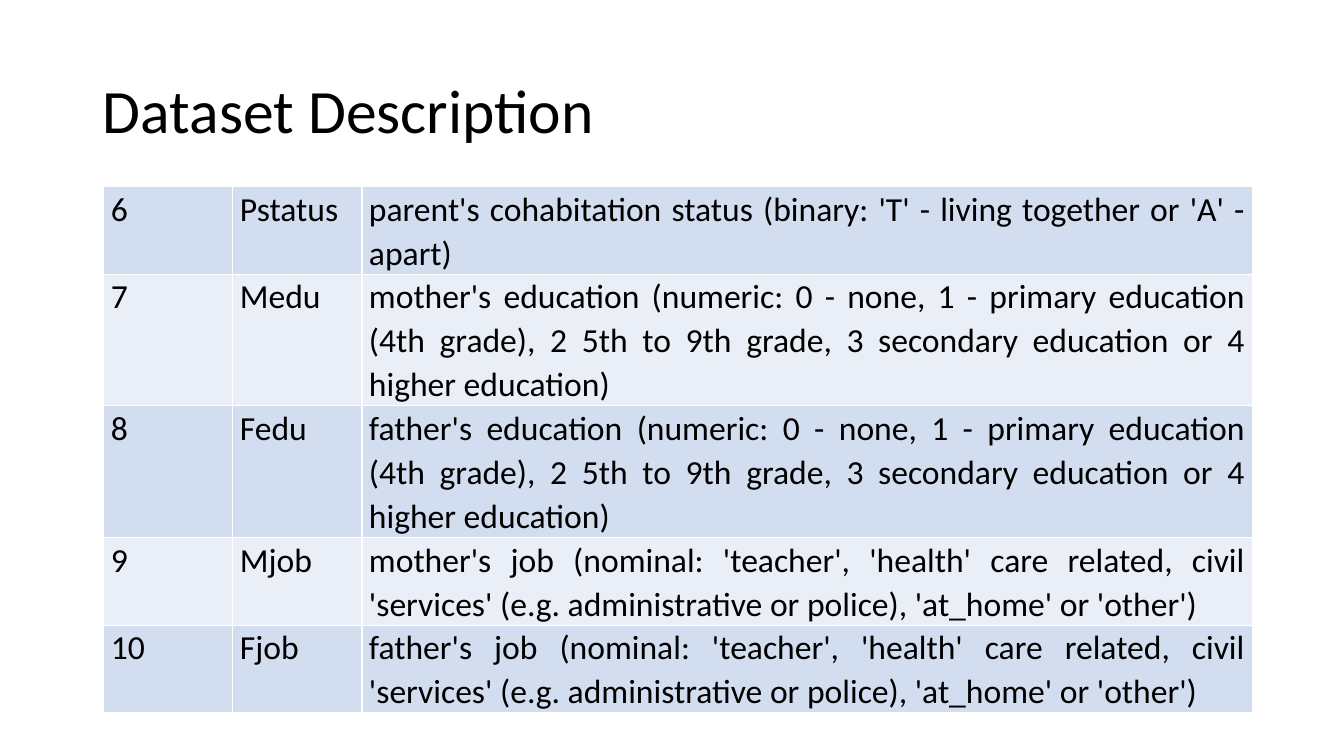
from pptx import Presentation
from pptx.dml.color import RGBColor
from pptx.enum.text import MSO_ANCHOR, PP_ALIGN
from pptx.oxml import parse_xml
from pptx.oxml.ns import nsdecls
from pptx.util import Emu, Pt

PX = 9144  # 100 px to the inch
COLORS = {"text": "000000", "border": "FFFFFF", "band_dark": "D2DEEF", "band_light": "EAEFF7"}
COL_WIDTHS = [128, 128, 883]
EDUCATION = ("education (numeric: 0 - none, 1 - primary education (4th grade), "
             "2 5th to 9th grade, 3 secondary education or 4 higher education)")
JOB = ("job (nominal: 'teacher', 'health' care related, civil 'services' "
       "(e.g. administrative or police), 'at_home' or 'other')")
# attribute name, description, row height
ATTRIBUTES = [
    ("Pstatus", "parent's cohabitation status (binary: 'T' - living together or 'A' - apart)", 87),
    ("Medu", f"mother's {EDUCATION}", 130),
    ("Fedu", f"father's {EDUCATION}", 130),
    ("Mjob", f"mother's {JOB}", 87),
    ("Fjob", f"father's {JOB}", 87),
]
FIRST_NUMBER = 6


def px(n):
    return Emu(n * PX)


class SlideBuilder:
    font = "Calibri"

    def __init__(self, prs):
        self.s = prs.slides.add_slide(prs.slide_layouts[5])

    def style(self, p, size, align, spacing):
        p.alignment = align
        p.line_spacing = spacing
        p.font.name = self.font
        p.font.size = Pt(size)
        p.font.color.rgb = RGBColor.from_string(COLORS["text"])

    def title(self, text, x, y, w, h):
        sp = self.s.shapes.title
        sp.left, sp.top, sp.width, sp.height = map(px, (x, y, w, h))
        tf = sp.text_frame
        tf.text = text
        tf.vertical_anchor = MSO_ANCHOR.MIDDLE
        self.style(tf.paragraphs[0], 44, PP_ALIGN.LEFT, 0.9)

    def borders(self, cell):
        tc_pr = cell._tc.get_or_add_tcPr()
        for side in "LRTB":
            tc_pr.append(parse_xml(
                f'<a:ln{side} {nsdecls("a")} w="{Pt(1)}"><a:solidFill>'
                f'<a:srgbClr val="{COLORS["border"]}"/></a:solidFill></a:ln{side}>'))

    def cell(self, cell, text, fill):
        self.borders(cell)
        cell.fill.solid()
        cell.fill.fore_color.rgb = RGBColor.from_string(COLORS[fill])
        cell.margin_left = cell.margin_right = px(7)
        cell.margin_top = cell.margin_bottom = 0
        cell.text = text
        self.style(cell.text_frame.paragraphs[0], 24, PP_ALIGN.JUSTIFY, 1.07)

    def table(self, rows, heights, widths, x, y):
        frame = self.s.shapes.add_table(len(rows), len(widths), px(x), px(y),
                                        px(sum(widths)), px(sum(heights)))
        tbl = frame.table
        tbl.first_row = tbl.horz_banding = False
        for col, width in zip(tbl.columns, widths):
            col.width = px(width)
        for i, (row, texts, height) in enumerate(zip(tbl.rows, rows, heights)):
            row.height = px(height)
            for cell, text in zip(row.cells, texts):
                self.cell(cell, text, "band_light" if i % 2 else "band_dark")


def main():
    prs = Presentation()
    prs.slide_width, prs.slide_height = px(1333), px(750)
    slide = SlideBuilder(prs)
    slide.title("Dataset Description", 92, 40, 1150, 145)
    rows = [(str(number), name, description)
            for number, (name, description, _) in enumerate(ATTRIBUTES, FIRST_NUMBER)]
    slide.table(rows, [height for *_, height in ATTRIBUTES], COL_WIDTHS, 103, 185)
    prs.save("out.pptx")


if __name__ == "__main__":
    main()
